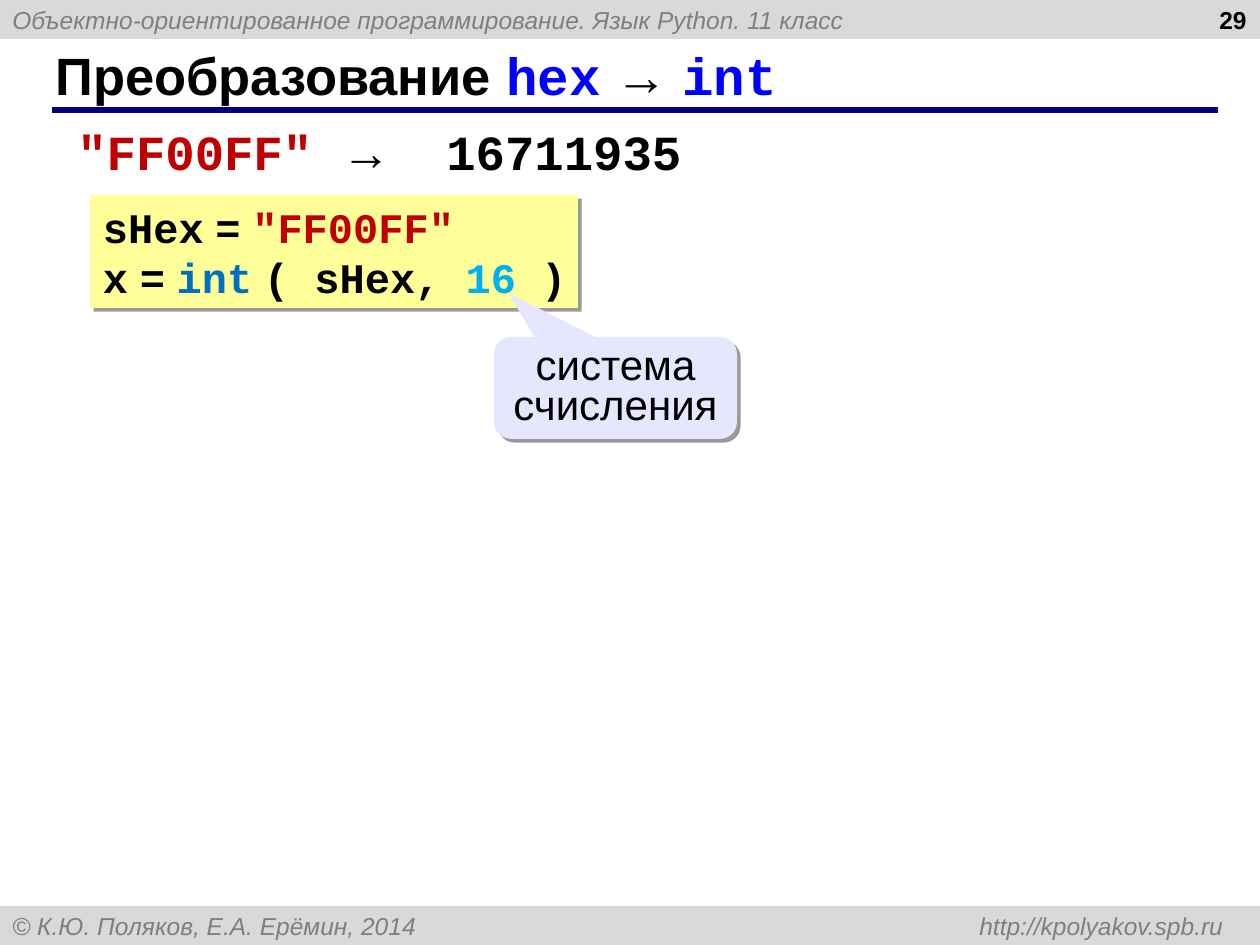
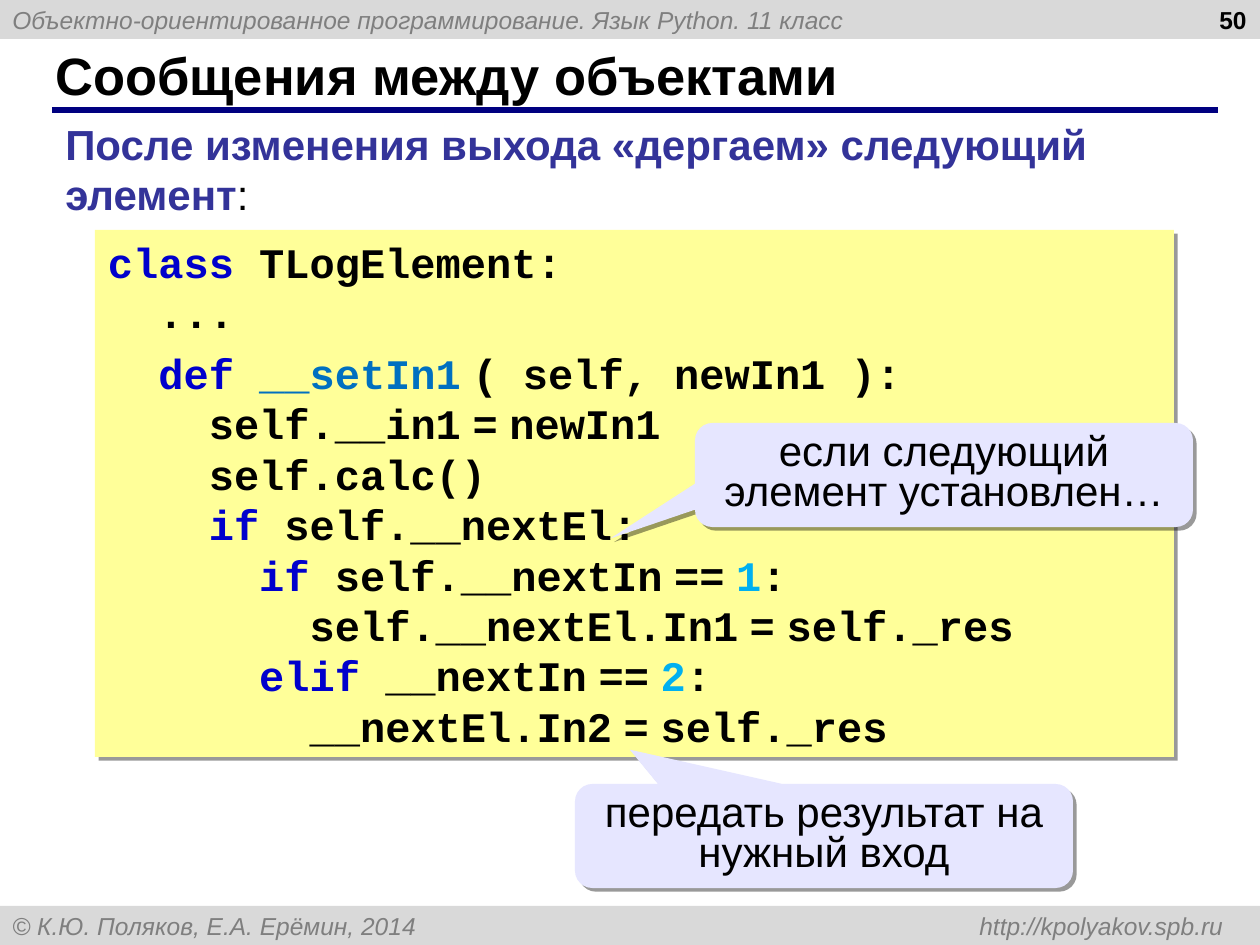
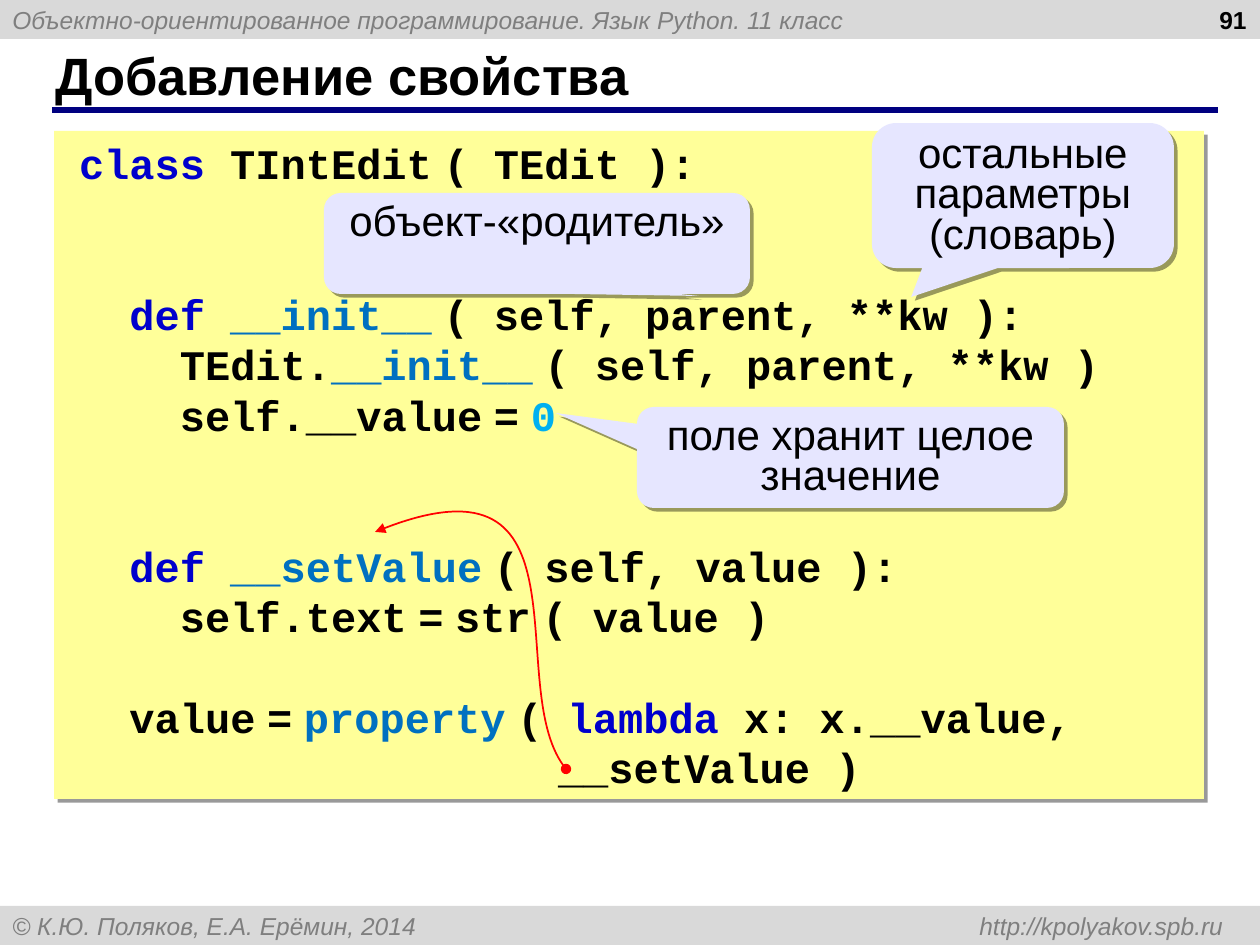
from dataclasses import dataclass

from lxml import etree
from pptx import Presentation, util as u
from pptx.dml.color import RGBColor
from pptx.enum import shapes, text
from pptx.oxml.ns import qn


@dataclass(frozen=True)
class Theme:
    sans: str = "Arial"
    mono: str = "Courier New"
    black: str = "000000"
    band: str = "D9D9D9"
    muted: str = "7F7F7F"
    rule: str = "000080"
    type_name: str = "0000FF"
    lead: str = "333399"
    code_fill: str = "FFFF99"
    callout_fill: str = "E6E6FF"
    keyword: str = "0000CC"
    function: str = "0070C0"
    number: str = "00B0F0"
    string: str = "C00000"
    arrow: str = "FF0000"
    small: int = 14
    body: int = 24
    sample: int = 28
    title: int = 30
    code_pitch: float = 28.8


theme = Theme()
PX = 914400 / 126
WIDTH, HEIGHT, BAND = 1260, 945, 39
RECT = shapes.MSO_SHAPE.RECTANGLE
CALLOUT = shapes.MSO_SHAPE.ROUNDED_RECTANGULAR_CALLOUT
TOP, MIDDLE = text.MSO_ANCHOR.TOP, text.MSO_ANCHOR.MIDDLE


def add_box(page, area, fill=None, kind=RECT, anchor=TOP, shadow=False):
    """Add a text box, or a filled shape when a fill is given."""
    place = [round(value * PX) for value in area]
    if fill:
        box = page.shapes.add_shape(kind, *place)
        box.fill.solid()
        box.fill.fore_color.rgb = RGBColor.from_string(fill)
        box.line.fill.background()
        box.shadow.inherit = False
    else:
        box = page.shapes.add_textbox(*place)
    if shadow:
        effects = box._element.spPr.find(qn("a:effectLst"))
        outer = etree.SubElement(effects, qn("a:outerShdw"), blurRad="0", dist="38100",
                                 dir="2700000", algn="ctr", rotWithShape="0")
        colour = etree.SubElement(outer, qn("a:srgbClr"), val=theme.black)
        etree.SubElement(colour, qn("a:alpha"), val="40000")
    box.text_frame.word_wrap = True
    box.text_frame.vertical_anchor = anchor
    box.text_frame.paragraphs[0].alignment = text.PP_ALIGN.LEFT
    return box


def write(para, spans, size, bold=False, italic=False, tab=None):
    """Fill a paragraph with (words, colour, font) spans; tab is (px, alignment)."""
    if tab:
        stops = etree.SubElement(para._p.get_or_add_pPr(), qn("a:tabLst"))
        etree.SubElement(stops, qn("a:tab"), pos=str(round(tab[0] * PX)), algn=tab[1])
    for words, colour, font in spans:
        span = para.add_run()
        span.text = words
        span.font.name = font
        span.font.size = u.Pt(size)
        span.font.bold = bold
        span.font.italic = italic
        span.font.color.rgb = RGBColor.from_string(colour)


deck = Presentation()
deck.slide_width, deck.slide_height = round(WIDTH * PX), round(HEIGHT * PX)

# Shared frame: bands, title, rule and page number
bands = [
    (0, "Объектно-ориентированное программирование. Язык Python. 11 класс", None),
    (HEIGHT - BAND, "© К.Ю. Поляков, Е.А. Ерёмин, 2014\thttp://kpolyakov.spb.ru", (1211, "r")),
]
titles = [
    (29, [("Преобразование ", theme.black, theme.sans), ("hex", theme.type_name, theme.mono),
          (" → ", theme.black, theme.sans), ("int", theme.type_name, theme.mono)]),
    (50, [("Сообщения между объектами", theme.black, theme.sans)]),
    (91, [("Добавление свойства", theme.black, theme.sans)]),
]
pages = []
for number, title in titles:
    page = deck.slides.add_slide(deck.slide_layouts[6])
    pages.append(page)
    for top, words, tab in bands:
        box = add_box(page, (0, top, WIDTH, BAND), theme.band, anchor=MIDDLE)
        write(box.text_frame.paragraphs[0], [(words, theme.muted, theme.sans)],
              theme.small, italic=True, tab=tab)
    rule = page.shapes.add_connector(
        shapes.MSO_CONNECTOR.STRAIGHT, *[round(value * PX) for value in (52, 110, 1218, 110)])
    rule.line.color.rgb = RGBColor.from_string(theme.rule)
    rule.line.width = u.Pt(3)
    etree.SubElement(rule._element.spPr, qn("a:effectLst"))
    box = add_box(page, (43, 42, 1154, 66), anchor=MIDDLE)
    write(box.text_frame.paragraphs[0], title, theme.title, bold=True)
    box = add_box(page, (965, 0, 294, BAND), anchor=MIDDLE)
    box.text_frame.paragraphs[0].alignment = text.PP_ALIGN.RIGHT
    write(box.text_frame.paragraphs[0], [(str(number), theme.black, theme.sans)],
          theme.small, bold=True)
hex_page, message_page, property_page = pages

# Lines above the code
box = add_box(hex_page, (65, 115, 660, 73))
write(box.text_frame.paragraphs[0],
      [('"FF00FF" ', theme.string, theme.mono), ("→", theme.black, theme.sans),
       ("\t16711935", theme.black, theme.mono)], theme.sample, bold=True, tab=(369, "l"))

box = add_box(message_page, (53, 112, 1157, 113))
lead = box.text_frame.paragraphs[0]
lead.line_spacing = u.Pt(theme.code_pitch)
write(lead, [("После изменения выхода «дергаем» следующий элемент", theme.lead, theme.sans)],
      theme.body, bold=True)
write(lead, [(":", theme.black, theme.sans)], theme.body)

# Code blocks: page, area, left inset, lines of (space before in points, spans)
plain, keyword, function = theme.black, theme.keyword, theme.function
listings = [
    (hex_page, (90, 195, 488, 113), 13, [
        (0, [("sHex = ", plain), ('"FF00FF"', theme.string)]),
        (0, [("x = ", plain), ("int", function), (" ( sHex, ", plain),
             ("16", theme.number), (" )", plain)]),
    ]),
    (message_page, (95, 230, 1079, 527), 13, [
        (0, [("class", keyword), (" TLogElement:", plain)]),
        (0, [("  ...", plain)]),
        (6, [("  def ", keyword), ("__setIn1", function), (" ( self, newIn1 ):", plain)]),
        (0, [("    self.__in1 = newIn1", plain)]),
        (0, [("    self.calc()", plain)]),
        (0, [("    if", keyword), (" self.__nextEl:", plain)]),
        (0, [("      if", keyword), (" self.__nextIn == ", plain), ("1", theme.number),
             (":", plain)]),
        (0, [("        self.__nextEl.In1 = self._res", plain)]),
        (0, [("      elif", keyword), (" __nextIn == ", plain), ("2", theme.number),
             (":", plain)]),
        (0, [("        __nextEl.In2 = self._res", plain)]),
    ]),
    (property_page, (54, 131, 1150, 668), 25, [
        (0, [("class", keyword), (" TIntEdit ( TEdit ):", plain)]),
        (2 * theme.code_pitch, [("  def ", keyword), ("__init__", function),
                                (" ( self, parent, **kw ):", plain)]),
        (0, [("    TEdit.", plain), ("__init__", function), (" ( self, parent, **kw )", plain)]),
        (0, [("    self.__value = ", plain), ("0", theme.number)]),
        (2 * theme.code_pitch, [("  def ", keyword), ("__setValue", function),
                                (" ( self, value ):", plain)]),
        (0, [("    self.text = str ( value )", plain)]),
        (theme.code_pitch, [("  value = ", plain), ("property", function), (" ( ", plain),
                            ("lambda", keyword), (" x: x.__value,", plain)]),
        (0, [("                   __setValue )", plain)]),
    ]),
]
for page, area, inset, lines in listings:
    box = add_box(page, area, theme.code_fill, shadow=True)
    frame = box.text_frame
    frame.margin_left = round(inset * PX)
    frame.word_wrap = False
    for index, (gap, spans) in enumerate(lines):
        para = frame.add_paragraph() if index else frame.paragraphs[0]
        para.alignment = text.PP_ALIGN.LEFT
        para.line_spacing = u.Pt(theme.code_pitch)
        para.space_before = u.Pt(gap)
        for words, colour in spans:
            # Spaces around "=" and before "(" are narrow, so they use the sans font
            for mark in (" == ", " = ", " ("):
                words = words.replace(mark, mark.replace(" ", "~ ~"))
            pieces = [piece for piece in words.split("~") if piece]
            write(para, [(piece, colour, theme.sans if piece == " " and len(pieces) > 1
                          else theme.mono) for piece in pieces], theme.body, bold=True)

# Callouts: page, area, pointer tip relative to the centre, words
callouts = [
    (hex_page, (494, 337, 243, 102), (-0.44, -0.93), "система счисления"),
    (message_page, (695, 423, 498, 104), (-0.67, 0.61), "если следующий элемент установлен…"),
    (message_page, (575, 784, 498, 104), (-0.39, -0.83), "передать результат на нужный вход"),
    (property_page, (324, 193, 426, 101), (0.38, 0.52), "объект-«родитель»"),
    (property_page, (872, 123, 302, 145), (-0.37, 0.7), "остальные параметры (словарь)"),
    (property_page, (637, 407, 427, 101), (-0.69, -0.44), "поле хранит целое значение"),
]
for page, area, tip, words in callouts:
    box = add_box(page, area, theme.callout_fill, CALLOUT, shadow=True)
    box.adjustments[0], box.adjustments[1] = tip
    para = box.text_frame.paragraphs[0]
    para.alignment = text.PP_ALIGN.CENTER
    para.line_spacing = 0.8
    write(para, [(words, theme.black, theme.sans)], theme.body)

# Curved arrow from the property argument to the method
start, *controls = [(round(x * PX), round(y * PX))
                    for x, y in ((566, 769), (501, 690), (597, 440), (375, 532))]
builder = property_page.shapes.build_freeform(*start)
builder.add_line_segments(controls, close=False)
curve = builder.convert_to_shape()
curve.fill.background()
curve.shadow.inherit = False
curve.line.color.rgb = RGBColor.from_string(theme.arrow)
curve.line.width = u.Pt(1)
outline = curve._element.spPr.find(".//" + qn("a:path"))
bezier = etree.SubElement(outline, qn("a:cubicBezTo"))
for segment in outline.findall(qn("a:lnTo")):
    bezier.append(segment[0])
    outline.remove(segment)
stroke = curve.line._get_or_add_ln()
etree.SubElement(stroke, qn("a:headEnd"), type="oval")
etree.SubElement(stroke, qn("a:tailEnd"), type="triangle")

deck.save("out.pptx")
